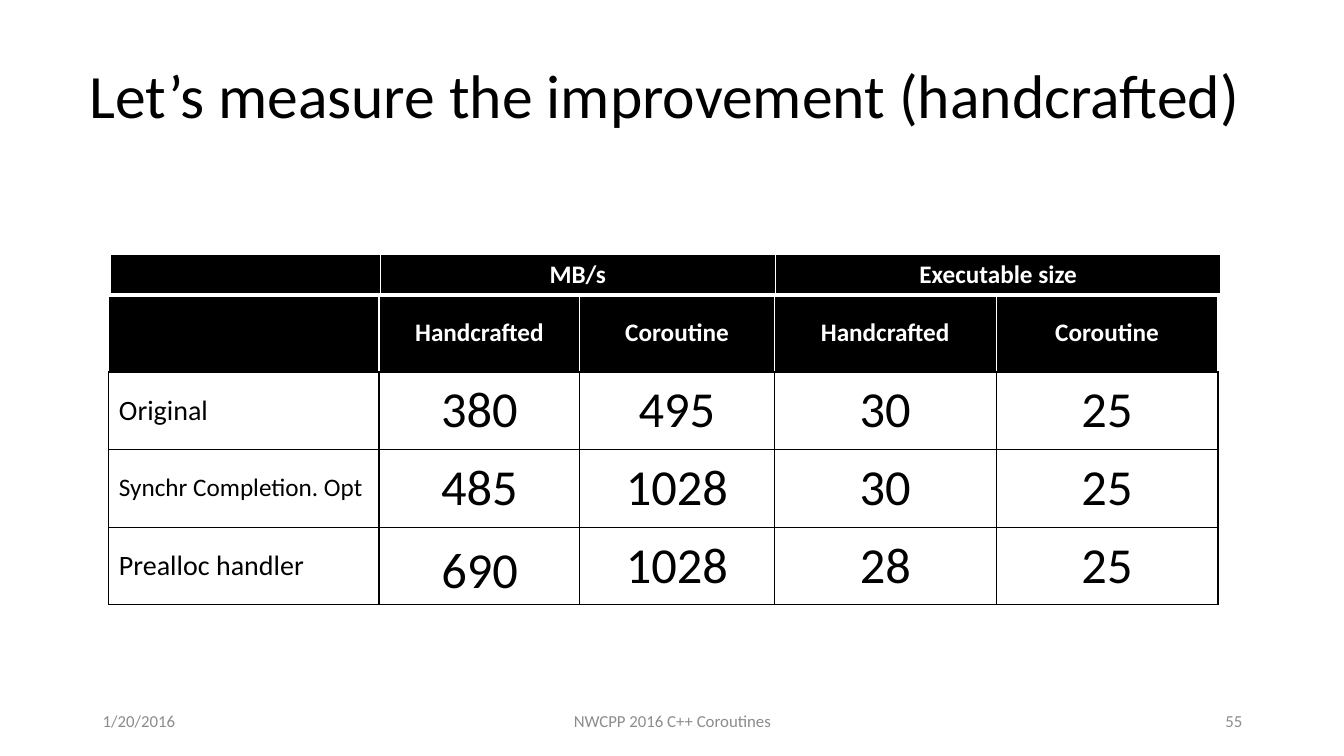
from lxml.etree import SubElement
from pptx import Presentation
from pptx.dml.color import RGBColor
from pptx.enum.text import MSO_ANCHOR, MSO_AUTO_SIZE, PP_ALIGN
from pptx.oxml.ns import qn
from pptx.util import Inches, Pt

BLACK = RGBColor(0x00, 0x00, 0x00)
WHITE = RGBColor(0xFF, 0xFF, 0xFF)
GREY = RGBColor(0x8C, 0x8C, 0x8C)
LEFT, CENTER, RIGHT = PP_ALIGN.LEFT, PP_ALIGN.CENTER, PP_ALIGN.RIGHT


def write(tf, text, size, color, align=LEFT, bold=False):
    p = tf.paragraphs[0]
    p.text = text
    p.alignment = align
    p.font.name, p.font.size, p.font.bold = "Calibri", Pt(size), bold
    p.font.color.rgb = color


def style_cell(cell, fill, borders):
    """Set the fill and the borders, given as (colour, points) for left, right, top, bottom."""
    tcPr = cell._tc.get_or_add_tcPr()
    for side, (color, width) in zip("LRTB", borders):
        ln = SubElement(tcPr, qn("a:ln" + side), w=str(Pt(width)))
        SubElement(SubElement(ln, qn("a:solidFill")), qn("a:srgbClr"), val=str(color))
    cell.fill.solid()
    cell.fill.fore_color.rgb = fill


prs = Presentation()
prs.slide_width, prs.slide_height = Inches(13.33), Inches(7.5)
s = prs.slides.add_slide(prs.slide_layouts[5])

# Title
title = s.shapes.title
title.left, title.top = Inches(0.79), Inches(0.25)
title.width, title.height = Inches(11.75), Inches(1.45)
tf = title.text_frame
tf.auto_size = MSO_AUTO_SIZE.NONE
tf.vertical_anchor = MSO_ANCHOR.MIDDLE
write(tf, "Let’s measure the improvement (handcrafted)", 44, BLACK)
tf.paragraphs[0].line_spacing = 0.9

# Footer
for text, left, width, align in [
    ("1/20/2016", 0.92, 3, LEFT),
    ("NWCPP 2016 C++ Coroutines", 4.42, 4.5, CENTER),
    ("55", 9.42, 3, RIGHT),
]:
    tf = s.shapes.add_textbox(Inches(left), Inches(6.95), Inches(width), Inches(0.4)).text_frame
    tf.word_wrap = True
    tf.vertical_anchor = MSO_ANCHOR.MIDDLE
    write(tf, text, 12, GREY, align)

# Measurements, and the group headings above them
thin_black, thin_white, thick_white = (BLACK, 1), (WHITE, 1), (WHITE, 3)
head_borders = [thin_white] * 3 + [thin_black]
group_borders = [thin_white] * 3 + [thick_white]
measurements = [
    ["", "Handcrafted", "Coroutine", "Handcrafted", "Coroutine"],
    ["Original", "380", "495", "30", "25"],
    ["Synchr Completion. Opt", "485", "1028", "30", "25"],
    ["Prealloc handler", "", "1028", "", "25"],
]
groups = [["", "MB/s", "Executable size"]]
for rows, left, top, widths, row_height, top_borders, anchor in [
    (measurements, 1.08, 2.92, [2.68, 1.99, 1.93, 2.2, 2.2], 0.77, head_borders, MSO_ANCHOR.MIDDLE),
    (groups, 1.09, 2.52, [2.68, 3.92, 4.42], 0.41, group_borders, MSO_ANCHOR.TOP),
]:
    table = s.shapes.add_table(
        len(rows), len(widths), Inches(left), Inches(top),
        Inches(sum(widths)), Inches(row_height * len(rows)),
    ).table
    table.first_row = table.horz_banding = False
    for column, width in zip(table.columns, widths):
        column.width = Inches(width)
    for i, row in enumerate(rows):
        table.rows[i].height = Inches(row_height)
        for j, text in enumerate(row):
            cell = table.cell(i, j)
            cell.vertical_anchor = anchor
            if i == 0:
                style_cell(cell, BLACK, top_borders)
                size, color, align = 18, WHITE, CENTER
            else:
                style_cell(cell, WHITE, [thin_black] * 4)
                size, color, align = 36, BLACK, CENTER
                if j == 0:
                    size, align = (18 if len(text) > 20 else 20), LEFT
            if text:
                write(cell.text_frame, text, size, color, align, bold=i == 0)

# Handcrafted results laid over the last row
for text, left, top, width in [("690", 4.28, 5.29, 0.97), ("28", 8.43, 5.24, 0.71)]:
    tf = s.shapes.add_textbox(Inches(left), Inches(top), Inches(width), Inches(0.71)).text_frame
    tf.word_wrap = False
    tf.auto_size = MSO_AUTO_SIZE.SHAPE_TO_FIT_TEXT
    write(tf, text, 36, BLACK)

prs.save("out.pptx")
